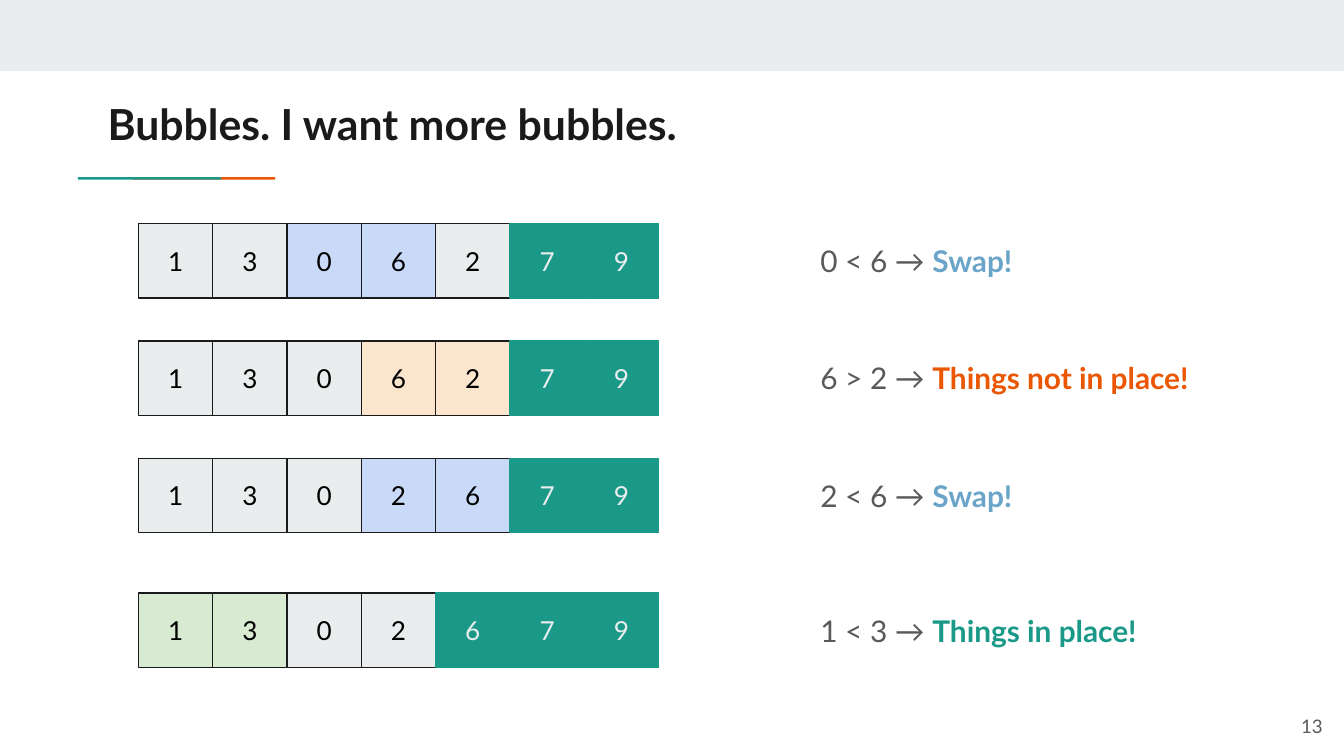
from pptx import Presentation
from pptx.dml.color import RGBColor
from pptx.enum.shapes import MSO_SHAPE
from pptx.enum.text import MSO_ANCHOR, PP_ALIGN
from pptx.util import Pt

RECT = MSO_SHAPE.RECTANGLE
TOP, MIDDLE = MSO_ANCHOR.TOP, MSO_ANCHOR.MIDDLE
LEFT, CENTER, RIGHT = PP_ALIGN.LEFT, PP_ALIGN.CENTER, PP_ALIGN.RIGHT

BLACK = RGBColor(0x00, 0x00, 0x00)
INK = RGBColor(0x1A, 0x1A, 0x1A)
GRAY = RGBColor(0x59, 0x59, 0x59)
PALE = RGBColor(0xE9, 0xED, 0xEE)
TEAL = RGBColor(0x1A, 0x99, 0x88)
ORANGE = RGBColor(0xEB, 0x56, 0x00)
BLUE = RGBColor(0x6A, 0xA4, 0xC8)
SKY = RGBColor(0xC9, 0xDA, 0xF8)
PEACH = RGBColor(0xFC, 0xE5, 0xCD)
MINT = RGBColor(0xD9, 0xEA, 0xD3)

deck = Presentation()
deck.slide_width, deck.slide_height = Pt(720), Pt(405)
slide = deck.slides.add_slide(deck.slide_layouts[6])
shapes = slide.shapes


def add_rect(x, y, w, h, fill, edge=None):
    rect = shapes.add_shape(RECT, Pt(x), Pt(y), Pt(w), Pt(h))
    rect.shadow.inherit = False
    rect.fill.solid()
    rect.fill.fore_color.rgb = fill
    if edge is None:
        rect.line.fill.background()
    else:
        rect.line.color.rgb = edge
        rect.line.width = Pt(0.75)
    return rect


def set_text(shape, runs, size, align=LEFT, anchor=TOP, side=7.2):
    frame = shape.text_frame
    form = {
        "word_wrap": True,
        "vertical_anchor": anchor,
        "margin_left": Pt(side),
        "margin_right": Pt(side),
        "margin_top": Pt(7.2),
        "margin_bottom": Pt(7.2),
    }
    for key, value in form.items():
        setattr(frame, key, value)
    line = frame.paragraphs[0]
    line.alignment = align
    for text, color, bold in runs:
        run = line.add_run()
        run.text = text
        for key, value in {"name": "Lato", "size": Pt(size), "bold": bold}.items():
            setattr(run.font, key, value)
        run.font.color.rgb = color


add_rect(0, 0, 720, 38.2, PALE)
for x, y, h, color in [(108.6, 57.5, 76.2, ORANGE), (79.4, 57.2, 76.8, TEAL)]:
    add_rect(x, y, 1.4, h, color).rotation = 270

title = shapes.add_textbox(Pt(57.6), Pt(45.4), Pt(605.5), Pt(42.5))
set_text(title, [("Bubbles. I want more bubbles.", INK, True)], 22.9, side=0)
page = shapes.add_textbox(Pt(672.5), Pt(373.7), Pt(43.2), Pt(31))
set_text(page, [("13", GRAY, False)], 10, RIGHT, MIDDLE)

SIDE = 39.8
steps = [
    (119.9, "1306279", 2, SKY, 5, "0 < 6 → ", "Swap!", BLUE, 187.2),
    (182.7, "1306279", 3, PEACH, 5, "6 > 2 → ", "Things not in place!", ORANGE, 239.8),
    (245.5, "1302679", 3, SKY, 5, "2 < 6 → ", "Swap!", BLUE, 239.8),
    (317.8, "1302679", 0, MINT, 4, "1 < 3 → ", "Things in place!", TEAL, 239.8),
]
for top, digits, pair, tint, done, test, result, color, width in steps:
    for i, digit in enumerate(digits):
        if i >= done:
            fill, edge, ink = TEAL, TEAL, PALE
        else:
            fill, edge, ink = (tint if i in (pair, pair + 1) else PALE), INK, BLACK
        cell = add_rect(74.2 + i * SIDE, top, SIDE, SIDE, fill, edge)
        set_text(cell, [(digit, ink, False)], 14, CENTER, MIDDLE)
    note = shapes.add_textbox(Pt(432.4), Pt(top + 3), Pt(width), Pt(33.8))
    set_text(note, [(test, GRAY, False), (result, color, True)], 16)

deck.save("out.pptx")
